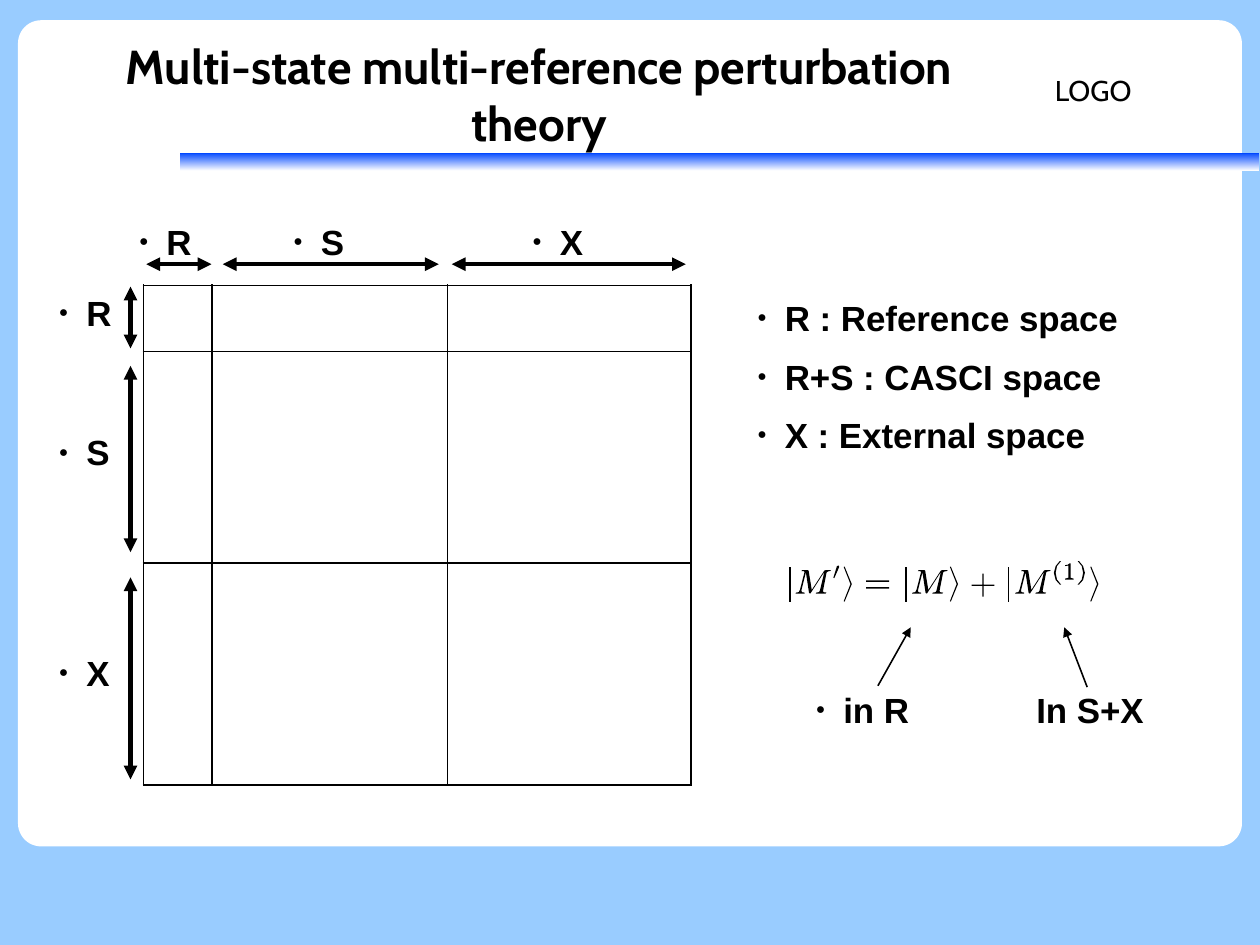
from lxml import etree
from pptx import Presentation
from pptx.dml.color import RGBColor
from pptx.enum.shapes import MSO_CONNECTOR, MSO_SHAPE
from pptx.enum.text import MSO_ANCHOR, MSO_AUTO_SIZE, PP_ALIGN
from pptx.oxml.ns import qn
from pptx.util import Cm, Pt

COLORS = {"sky": "99CCFF", "card": "FFFFFF", "bar": "0047FF", "ink": "000000"}
TITLE_FONT, TEXT_FONT = "Cabin", "Arial"
LEFT, CENTER = PP_ALIGN.LEFT, PP_ALIGN.CENTER
TOP, MIDDLE = MSO_ANCHOR.TOP, MSO_ANCHOR.MIDDLE
TITLE_AND_CONTENT = 1
BORDER_SIDES = ("a:lnL", "a:lnR", "a:lnT", "a:lnB")

# Outlines of the equation's symbols, in hundredths of a centimetre
OPEN_PAREN = [(13, 0), (4, 11), (0, 26), (4, 42), (13, 52),
              (16, 52), (7, 41), (4, 26), (7, 11), (16, 0)]
GLYPHS = {
    "field": [[(0, 0), (705, 0), (705, 91), (0, 91)]],
    "|": [[(0, 0), (3, 0), (3, 78), (0, 78)]],
    "M": [[(69, 5), (72, 3), (77, 2), (79, 0), (67, 0), (64, 1), (36, 44), (29, 1),
           (27, 0), (15, 0), (13, 2), (18, 2), (20, 4), (10, 43), (7, 49), (1, 50),
           (0, 52), (20, 52), (20, 50), (14, 49), (13, 45), (23, 5), (30, 51),
           (33, 52), (64, 4), (54, 46), (52, 49), (46, 50), (45, 52), (67, 52),
           (69, 50), (62, 49), (61, 46)]],
    "′": [[(13, 3), (12, 0), (8, 1), (0, 27), (2, 28)]],
    "⟩": [[(0, 1), (2, 0), (18, 39), (2, 78), (0, 77), (15, 39)]],
    "=": [[(0, y), (51, y), (51, y + 3), (0, y + 3)] for y in (0, 15)],
    "+": [[(24, 0), (27, 0), (27, 24), (51, 24), (51, 27), (27, 27),
           (27, 51), (24, 51), (24, 27), (0, 27), (0, 24), (24, 24)]],
    "(": [OPEN_PAREN],
    "1": [[(10, 0), (6, 3), (0, 4), (0, 6), (7, 5), (7, 32), (0, 34), (0, 36),
           (19, 36), (19, 34), (12, 32), (12, 0)]],
    ")": [[(16 - x, y) for x, y in OPEN_PAREN]],
}
EQUATION = (("field", 0, 0), ("|", 9, 12), ("M", 23, 20), ("′", 107, 10),
            ("⟩", 130, 12), ("=", 180, 43), ("|", 267, 12), ("M", 282, 20),
            ("⟩", 366, 12), ("+", 414, 28), ("|", 495, 12), ("M", 511, 20),
            ("(", 597, 0), ("1", 622, 5), (")", 650, 0), ("⟩", 678, 12))


def rgb(name):
    return RGBColor.from_string(COLORS[name])


def cm_box(box):
    return [Cm(length) for length in box]


def paint(shape, color):
    """Give a shape a plain fill without line or shadow."""
    shape.shadow.inherit = False
    shape.line.fill.background()
    shape.fill.solid()
    shape.fill.fore_color.rgb = rgb(color)


def add_bullet(paragraph):
    props = paragraph._p.get_or_add_pPr()
    props.set("marL", str(Cm(0.61)))
    props.set("indent", str(-Cm(0.61)))
    color = etree.SubElement(props, qn("a:buClr"))
    etree.SubElement(color, qn("a:srgbClr"), val=COLORS["ink"])
    etree.SubElement(props, qn("a:buSzPct"), val="45000")
    etree.SubElement(props, qn("a:buFont"), typeface=TEXT_FONT)
    etree.SubElement(props, qn("a:buChar"), char="●")


def set_text(shape, lines, align=LEFT, anchor=TOP, insets=(0.25, 0.13),
             bullet=False, gap=0, font=TEXT_FONT, size=22, bold=True):
    """Fill a shape with one paragraph per line."""
    frame = shape.text_frame
    frame.word_wrap = True
    frame.auto_size = MSO_AUTO_SIZE.NONE
    frame.vertical_anchor = anchor
    frame.margin_left = frame.margin_right = Cm(insets[0])
    frame.margin_top = frame.margin_bottom = Cm(insets[1])
    for index, line in enumerate(lines):
        paragraph = frame.add_paragraph() if index else frame.paragraphs[0]
        if bullet:
            add_bullet(paragraph)
        paragraph.alignment = align
        paragraph.space_before = Pt(gap if index else 0)
        run = paragraph.add_run()
        run.text = line
        run.font.name, run.font.size, run.font.bold = font, Pt(size), bold
        run.font.color.rgb = rgb("ink")


def add_label(slide, text, box, **text_format):
    label = slide.shapes.add_textbox(*cm_box(box))
    set_text(label, [text], **text_format)


def add_arrow(slide, start, end, width, double=False):
    arrow = slide.shapes.add_connector(
        MSO_CONNECTOR.STRAIGHT, *cm_box(start), *cm_box(end))
    arrow.line.color.rgb = rgb("ink")
    arrow.line.width = Pt(width)
    line = arrow.line._get_or_add_ln()
    for tag in ("a:headEnd", "a:tailEnd") if double else ("a:tailEnd",):
        etree.SubElement(line, qn(tag), type="triangle")
    etree.SubElement(arrow._element.spPr, qn("a:effectLst"))


def draw_frame(slide, box):
    """Sky background, white card, blue bar and logo text."""
    left, top, width, height = box
    slide.background.fill.solid()
    slide.background.fill.fore_color.rgb = rgb("sky")

    card = slide.shapes.add_shape(MSO_SHAPE.ROUNDED_RECTANGLE, *cm_box(box))
    card.adjustments[0] = 0.028
    paint(card, "card")

    bar = slide.shapes.add_shape(
        MSO_SHAPE.RECTANGLE, *cm_box((left + 3.59, top + 2.94, 24, 0.41)))
    paint(bar, "bar")
    bar.fill.gradient()
    bar.fill.gradient_angle = 90
    for stop, color in zip(bar.fill.gradient_stops, ("card", "bar")):
        stop.color.rgb = rgb(color)

    add_label(slide, "LOGO", (left + width - 4.41, top + 0.35, 4.39, 2.39),
              anchor=MIDDLE, font=TITLE_FONT, size=18, bold=False)


def fill_placeholder(slide, placeholder, lines, box, **text_format):
    """Place a template placeholder in front of the card and fill it."""
    slide.shapes._spTree.append(placeholder._element)
    placeholder.left, placeholder.top, placeholder.width, placeholder.height = cm_box(box)
    set_text(placeholder, lines, **text_format)


def border_cell(cell):
    cell.fill.background()
    props = cell._tc.get_or_add_tcPr()
    for index, side in enumerate(BORDER_SIDES):
        line = etree.Element(qn(side), w=str(Pt(1.13)))
        fill = etree.SubElement(line, qn("a:solidFill"))
        etree.SubElement(fill, qn("a:srgbClr"), val=COLORS["ink"])
        props.insert(index, line)


def draw_matrix(slide, left, top):
    """Block matrix with a labelled arrow for each space on both axes."""
    widths, heights = (1.52, 5.23, 5.41), (1.47, 4.7, 4.93)
    table = slide.shapes.add_table(
        3, 3, *cm_box((left, top, sum(widths), sum(heights)))).table
    table.first_row = table.horz_banding = False
    for column, width in zip(table.columns, widths):
        column.width = Cm(width)
    for row, height in zip(table.rows, heights):
        row.height = Cm(height)
    for cell in table.iter_cells():
        border_cell(cell)

    # space, arrow start, arrow end, label offset
    across = (("R", 0.06, 1.51, -0.35), ("S", 1.76, 6.56, 3.08), ("X", 6.85, 12.05, 8.39))
    down = (("R", 0.03, 1.4, 0.01), ("S", 1.79, 5.93, 3.11), ("X", 6.49, 10.98, 8.01))
    arrow_y, arrow_x = top - 0.47, left - 0.29
    for space, start, end, offset in across:
        add_arrow(slide, (left + start, arrow_y), (left + end, arrow_y), 2.89, double=True)
        add_label(slide, space, (left + offset, top - 1.57, 1.91, 2.08), bullet=True)
    for space, start, end, offset in down:
        add_arrow(slide, (arrow_x, top + start), (arrow_x, top + end), 2.89, double=True)
        add_label(slide, space, (left - 2.13, top + offset, 1.91, 2.08), bullet=True)


def draw_glyph(shapes, symbol, left, top):
    first, *others = GLYPHS[symbol]
    outline = shapes.build_freeform(*first[0], scale=Cm(0.01))
    outline.add_line_segments(first[1:])
    for contour in others:
        outline.move_to(*contour[0])
        outline.add_line_segments(contour[1:])
    glyph = outline.convert_to_shape(Cm(left), Cm(top))
    paint(glyph, "card" if symbol == "field" else "ink")


def draw_equation(slide, left, top):
    """State expansion with an arrow and a label under each term."""
    formula = slide.shapes.add_group_shape()
    for symbol, x, y in EQUATION:
        draw_glyph(formula.shapes, symbol, left + x / 100, top + y / 100)

    add_arrow(slide, (left + 2.06, top + 2.77), (left + 2.79, top + 1.47), 1)
    add_arrow(slide, (left + 6.71, top + 2.8), (left + 6.2, top + 1.47), 1)
    add_label(slide, "In S+X", (left + 5.33, top + 2.7, 3.28, 1.98))
    add_label(slide, "in R", (left + 0.43, top + 2.7, 2.67, 1.22), bullet=True)


def main():
    deck = Presentation()
    deck.slide_width, deck.slide_height = Cm(28), Cm(21)
    slide = deck.slides.add_slide(deck.slide_layouts[TITLE_AND_CONTENT])
    title, legend = slide.placeholders

    draw_frame(slide, (0.4, 0.45, 27.2, 18.36))
    fill_placeholder(slide, title, ["Multi-state multi-reference perturbation theory"],
                     (1.4, 0.66, 21.16, 2.87), align=CENTER, anchor=MIDDLE,
                     insets=(0, 0), font=TITLE_FONT, size=30)
    draw_matrix(slide, 3.19, 6.34)
    fill_placeholder(slide, legend,
                     ["R : Reference space", "R+S : CASCI space", "X : External space"],
                     (16.58, 6.46, 10.41, 3.8), bullet=True, gap=10.5)
    draw_equation(slide, 17.45, 12.47)
    deck.save("out.pptx")


if __name__ == "__main__":
    main()
